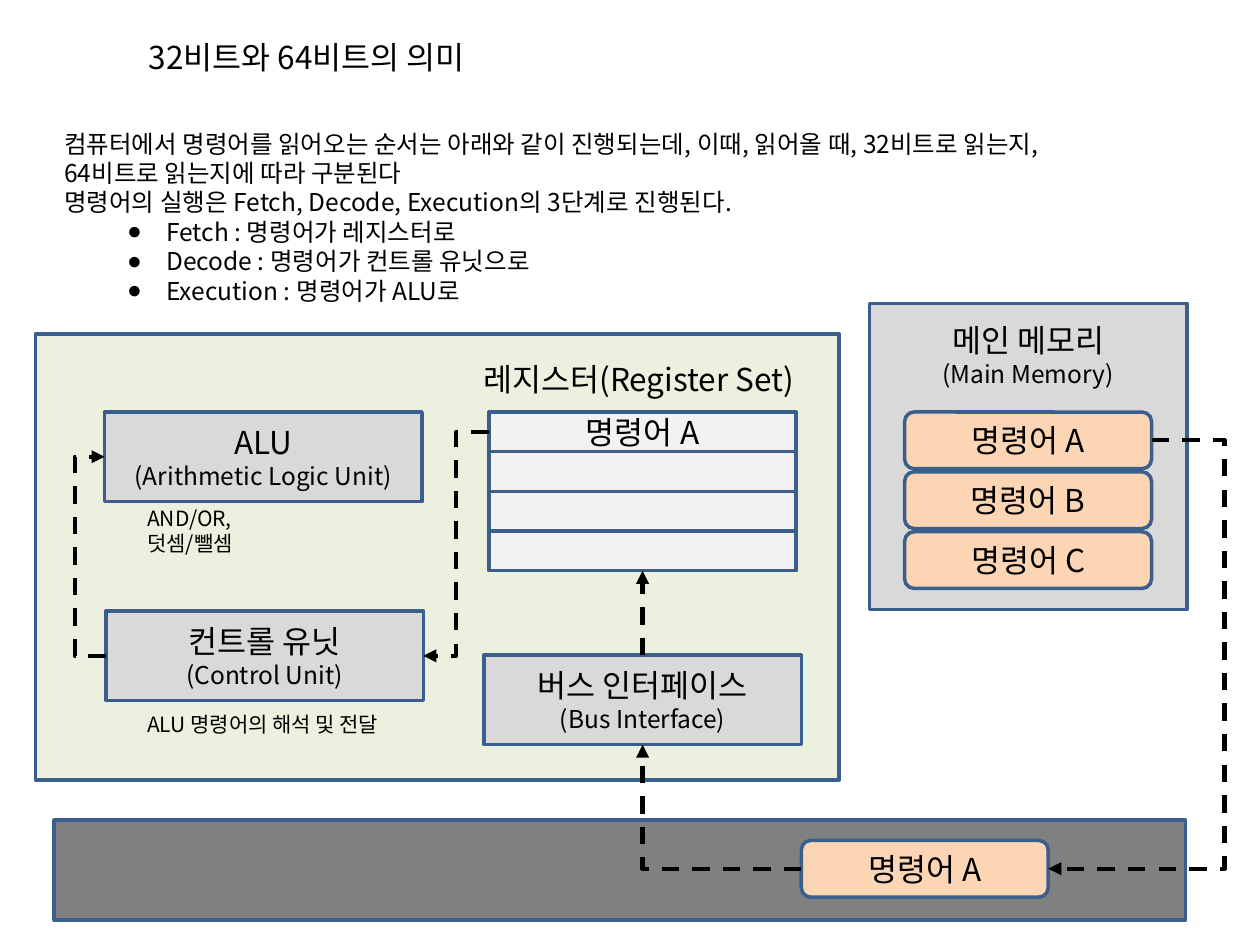
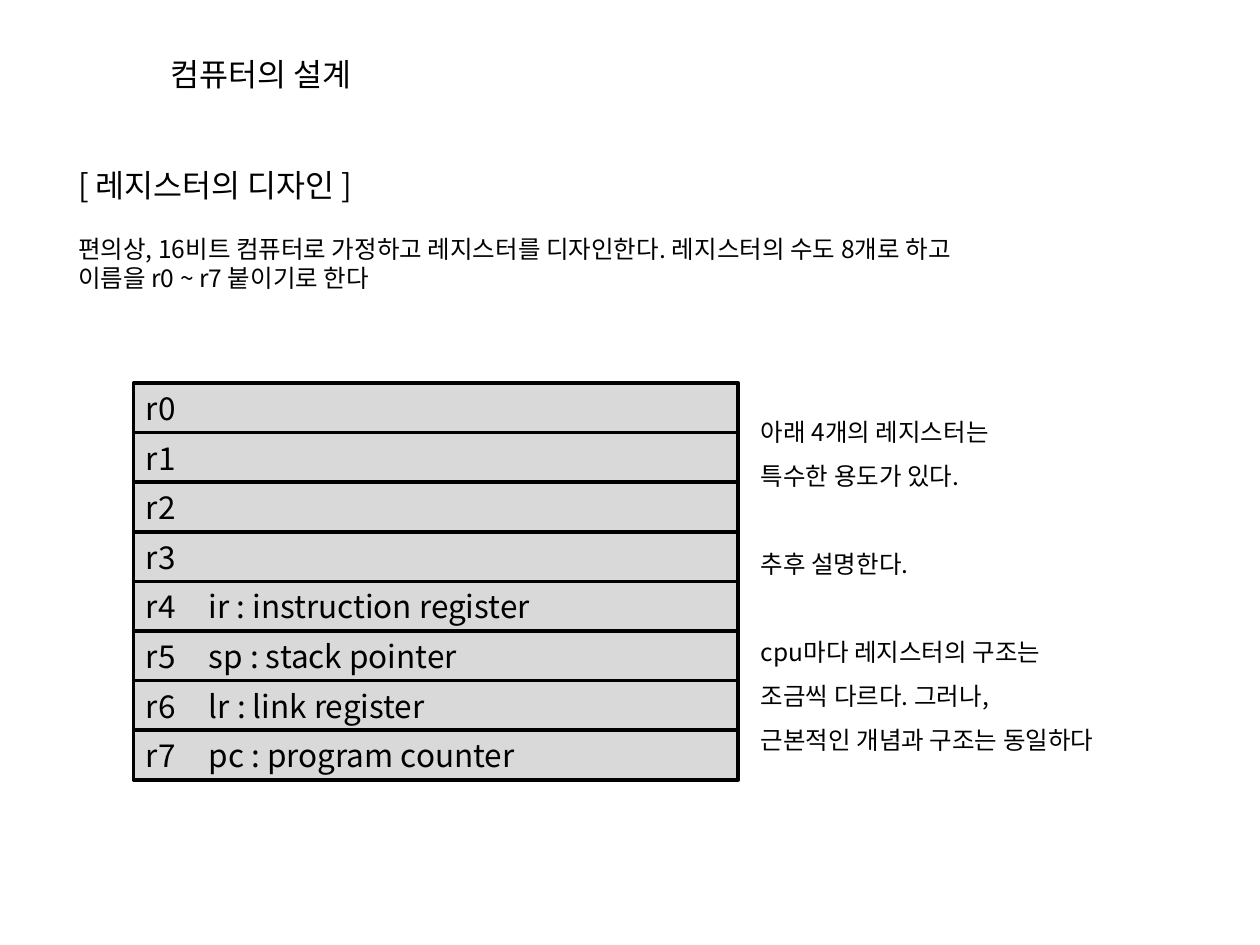
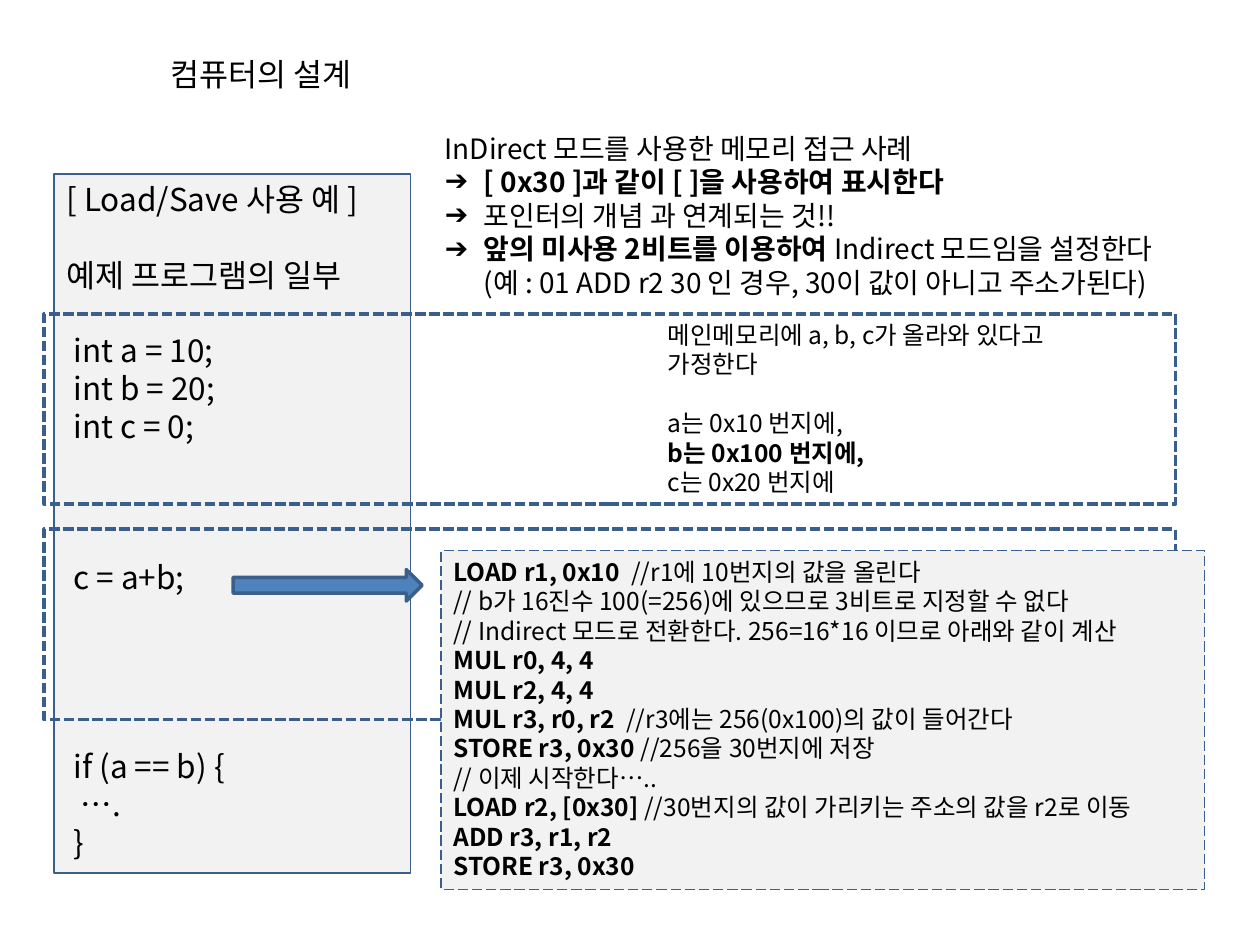
from dataclasses import dataclass

from lxml import etree
from pptx import Presentation
from pptx import util as u
from pptx.dml.color import RGBColor
from pptx.enum import dml, shapes, text
from pptx.oxml.ns import qn

FONT = "Noto Sans CJK KR"
BLACK = RGBColor(0x00, 0x00, 0x00)
BLUE = RGBColor(0x4F, 0x81, 0xBD)
EDGE = RGBColor(0x3A, 0x5F, 0x8C)
GREEN = RGBColor(0xEB, 0xF1, 0xDE)
GREY = RGBColor(0xD9, 0xD9, 0xD9)
PALE = RGBColor(0xF2, 0xF2, 0xF2)
DARK = RGBColor(0x80, 0x80, 0x80)
PEACH = RGBColor(0xFC, 0xD5, 0xB5)

CELL = u.Inches(0.1)  # the slide is a grid of 100 columns and 75 rows
COLUMNS, ROWS = 100, 75
LINE_RATIO = 1.2  # line height relative to text size

RECT = shapes.MSO_SHAPE.RECTANGLE
ROUND = shapes.MSO_SHAPE.ROUNDED_RECTANGLE
ARROW = shapes.MSO_SHAPE.RIGHT_ARROW
TOP, MIDDLE = text.MSO_ANCHOR.TOP, text.MSO_ANCHOR.MIDDLE
LEFT, CENTER = text.PP_ALIGN.LEFT, text.PP_ALIGN.CENTER
SITE_TOP, SITE_LEFT, SITE_BOTTOM, SITE_RIGHT = range(4)


@dataclass
class Box:
    """An area measured in grid columns and rows."""
    left: float
    top: float
    width: float
    height: float

    def inside(self, column, row, width, height):
        return Box(self.left + column, self.top + row, width, height)

    def rows(self, count, gap=0):
        step = self.height / count
        return [self.inside(0, step * i, self.width, step - gap) for i in range(count)]

    def emu(self):
        edges = (self.left, self.top, self.width, self.height)
        return [round(edge * CELL) for edge in edges]


@dataclass
class Line:
    """One paragraph; **marks** enclose bold words, gap counts skipped lines."""
    words: str
    size: float = None
    gap: int = 0
    margin: float = 0
    bullet: str = None
    hanging: float = 0
    tab: float = None


def apply(target, formats):
    for name, value in formats.items():
        setattr(target, name, value)


def set_bullet_and_tab(para, line):
    props = para._p.get_or_add_pPr()
    props.set("marL", str(round(line.margin * CELL)))
    props.set("indent", str(round(-line.hanging * CELL)))
    if line.bullet:
        etree.SubElement(props, qn("a:buChar"), char=line.bullet)
    else:
        etree.SubElement(props, qn("a:buNone"))
    if line.tab:
        tabs = etree.SubElement(props, qn("a:tabLst"))
        etree.SubElement(tabs, qn("a:tab"), pos=str(round(line.tab * CELL)), algn="l")


def write(frame, lines, size=18, align=LEFT, anchor=TOP, spacing=1.0, **margins):
    apply(frame, {"word_wrap": True, "auto_size": text.MSO_AUTO_SIZE.NONE,
                  "vertical_anchor": anchor, **margins})
    for number, line in enumerate(lines):
        line = line if isinstance(line, Line) else Line(line)
        para = frame.add_paragraph() if number else frame.paragraphs[0]
        set_bullet_and_tab(para, line)
        skipped = u.Pt(line.gap * size * LINE_RATIO * spacing)
        apply(para, {"alignment": align, "line_spacing": spacing, "space_before": skipped})
        for part, words in enumerate(line.words.split("**")):
            if not words:
                continue
            span = para.add_run()
            span.text = words
            apply(span.font, {"name": FONT, "size": u.Pt(line.size or size),
                              "bold": part % 2 == 1})
            span.font.color.rgb = BLACK
            etree.SubElement(span._r.get_or_add_rPr(), qn("a:ea"), typeface=FONT)


def add_block(page, box, fill=None, lines=(), kind=RECT, edge=EDGE, weight=2,
              dash=None, **layout):
    block = page.shapes.add_shape(kind, *box.emu())
    block.shadow.inherit = False
    if fill is None:
        block.fill.background()
    else:
        block.fill.solid()
        block.fill.fore_color.rgb = fill
    block.line.color.rgb = edge
    apply(block.line, {"width": u.Pt(weight), "dash_style": dash})
    write(block.text_frame, lines, **{"anchor": MIDDLE, **layout})
    return block


def add_text(page, box, lines, **layout):
    write(page.shapes.add_textbox(*box.emu()).text_frame, lines, **layout)


def fill_placeholder(holder, box, lines, **layout):
    apply(holder, dict(zip(("left", "top", "width", "height"), box.emu())))
    write(holder.text_frame, lines, **layout)


def add_page(deck, title, title_box, body_lines, body_box, **layout):
    page = deck.slides.add_slide(deck.slide_layouts[1])
    fill_placeholder(page.shapes.title, title_box, [title])
    fill_placeholder(page.placeholders[1], body_box, body_lines, **layout)
    return page


def add_flow(page, source, source_site, target, target_site, bend=None, corner=False):
    """Dashed arrow; bend is the grid column of its upright part."""
    elbow = corner or bend is not None
    kind = shapes.MSO_CONNECTOR.ELBOW if elbow else shapes.MSO_CONNECTOR.STRAIGHT
    flow = page.shapes.add_connector(kind, 0, 0, 0, 0)
    flow.begin_connect(source, source_site)
    flow.end_connect(target, target_site)
    props = flow._element.spPr
    geometry = props.find(qn("a:prstGeom"))
    if corner:
        geometry.set("prst", "bentConnector2")
    elif elbow:
        share = (bend * CELL - flow.begin_x) / (flow.end_x - flow.begin_x)
        guides = geometry.find(qn("a:avLst"))
        if guides is None:
            guides = etree.SubElement(geometry, qn("a:avLst"))
        etree.SubElement(guides, qn("a:gd"), name="adj1", fmla=f"val {round(share * 100000)}")
    frame = props.find(qn("a:xfrm"))
    if elbow and frame.get("flipH") and frame.get("flipV"):
        del frame.attrib["flipH"], frame.attrib["flipV"]
        frame.set("rot", str(180 * 60000))
    flow.line.color.rgb = BLACK
    apply(flow.line, {"width": u.Pt(2.5), "dash_style": dml.MSO_LINE.DASH})
    etree.SubElement(props.find(qn("a:ln")), qn("a:tailEnd"), type="triangle")
    etree.SubElement(props, qn("a:effectLst"))


def add_unit(page, box, name, english, **layout):
    lines = [name, Line(f"({english})", size=14)]
    return add_block(page, box, GREY, lines, align=CENTER, **layout)


def add_instruction(page, box, letter):
    return add_block(page, box, PEACH, [f"명령어 {letter}"], ROUND, align=CENTER)


def draw_processor(page, box):
    """Draws the processor and returns its bus interface."""
    add_block(page, box, GREEN)
    alu = add_unit(page, box.inside(5.5, 6.2, 25.2, 7.1), "ALU", "Arithmetic Logic Unit")
    control = add_unit(page, box.inside(5.6, 22, 25.2, 7.1), "컨트롤 유닛", "Control Unit")
    bus = add_unit(page, box.inside(35.6, 25.5, 25.2, 7.1), "버스 인터페이스", "Bus Interface")
    add_text(page, box.inside(34.6, 1.6, 27.3, 4), ["레지스터(Register Set)"])
    add_text(page, box.inside(7.9, 13.1, 17, 5), ["AND/OR,", "덧셈/뺄셈"], size=12)
    add_text(page, box.inside(7.9, 29.5, 22.6, 3), ["ALU 명령어의 해석 및 전달"], size=12)
    contents = (["명령어 A"], [], [], [])
    cells = box.inside(36, 6.2, 24.4, 12.6).rows(len(contents))
    registers = [add_block(page, cell, PALE, lines, align=CENTER)
                 for cell, lines in zip(cells, contents)]
    add_flow(page, bus, SITE_TOP, registers[-1], SITE_BOTTOM)
    add_flow(page, registers[0], SITE_LEFT, control, SITE_RIGHT, bend=box.left + 33.4)
    add_flow(page, control, SITE_LEFT, alu, SITE_LEFT, bend=box.left + 3.1)
    return bus


def draw_memory(page, box):
    """Draws the main memory and returns its first instruction."""
    add_unit(page, box, "메인 메모리", "Main Memory", anchor=TOP, margin_top=u.Inches(0.14))
    cells = box.inside(2.8, 8.6, 19.6, 14.25).rows(3, gap=0.25)
    return [add_instruction(page, cell, letter) for cell, letter in zip(cells, "ABC")][0]


def draw_system_bus(page, box):
    """Draws the bus and returns the instruction travelling on it."""
    add_block(page, box, DARK)
    return add_instruction(page, box.inside(59.3, 1.6, 19.6, 4.5), "A")


def build_bit_width(deck):
    steps = ["Fetch : 명령어가 레지스터로", "Decode : 명령어가 컨트롤 유닛으로",
             "Execution : 명령어가 ALU로"]
    intro = [
        "컴퓨터에서 명령어를 읽어오는 순서는 아래와 같이 진행되는데, 이때, 읽어올 때, 32비트로 읽는지,",
        "64비트로 읽는지에 따라 구분된다",
        "명령어의 실행은 Fetch, Decode, Execution의 3단계로 진행된다.",
        *[Line(step, margin=8.1, bullet="●", hanging=3.1) for step in steps]]
    page = add_page(deck, "32비트와 64비트의 의미", Box(10.8, 2.5, 29.5, 4),
                    intro, Box(4.1, 9.7, 88.1, 17.5), size=14)
    bus = draw_processor(page, Box(2.8, 26.5, 63.8, 35.4))
    stored = draw_memory(page, Box(69, 24.1, 25.2, 24.3))
    moving = draw_system_bus(page, Box(4.3, 65.1, 89.8, 7.9))
    add_flow(page, stored, SITE_RIGHT, moving, SITE_RIGHT, bend=97.2)
    add_flow(page, moving, SITE_LEFT, bus, SITE_BOTTOM, corner=True)


def draw_register_file(page, box):
    roles = ["", "", "", "", "ir : instruction register", "sp : stack pointer",
             "lr : link register", "pc : program counter"]
    for number, (cell, role) in enumerate(zip(box.rows(len(roles)), roles)):
        label = f"r{number}\t{role}" if role else f"r{number}"
        add_block(page, cell, GREY, [Line(label, tab=5.7)], edge=BLACK)


def build_registers(deck, title, title_box):
    intro = [Line("[ 레지스터의 디자인 ]", size=18),
             Line("편의상, 16비트 컴퓨터로 가정하고 레지스터를 디자인한다. 레지스터의 수도 8개로 하고", gap=1),
             "이름을 r0 ~ r7 붙이기로 한다"]
    page = add_page(deck, title, title_box, intro, Box(5.2, 12.7, 79.1, 11.1), size=14)
    draw_register_file(page, Box(10.6, 30.4, 48, 31.5))
    remarks = ["아래 4개의 레지스터는", "특수한 용도가 있다.", Line("추후 설명한다.", gap=1),
               Line("cpu마다 레지스터의 구조는", gap=1), "조금씩 다르다. 그러나,",
               "근본적인 개념과 구조는 동일하다"]
    add_text(page, Box(59.4, 31.4, 31.6, 34), remarks, size=14, spacing=1.5)


def draw_program(page, box):
    lines = ["[ Load/Save 사용 예 ]", Line("예제 프로그램의 일부", gap=1),
             Line(" int a = 10;", gap=1), " int b = 20;", " int c = 0;",
             Line(" c = a+b;", gap=3), Line(" if (a == b) {", gap=4), "  ….", " }"]
    add_block(page, box, PALE, lines, weight=0.75, anchor=TOP)


def draw_assembly(page, box):
    lines = [
        "**LOAD r1, 0x10  **//r1에 10번지의 값을 올린다",
        "// b가 16진수 100(=256)에 있으므로 3비트로 지정할 수 없다",
        "// Indirect 모드로 전환한다. 256=16*16 이므로 아래와 같이 계산",
        "**MUL r0, 4, 4**",
        "**MUL r2, 4, 4**",
        "**MUL r3, r0, r2  **//r3에는 256(0x100)의 값이 들어간다",
        "**STORE r3, 0x30 **//256을 30번지에 저장",
        "// 이제 시작한다…..",
        "**LOAD r2, [0x30] **//30번지의 값이 가리키는 주소의 값을 r2로 이동",
        "**ADD r3, r1, r2**",
        "**STORE r3, 0x30**"]
    add_block(page, box, PALE, lines, weight=0.75, dash=dml.MSO_LINE.LONG_DASH,
              size=14, anchor=TOP)


def build_indirect_mode(deck, title, title_box):
    points = ["**[ 0x30 ]과 같이 [ ]을 사용하여 표시한다**", "포인터의 개념 과 연계되는 것!!",
              "**앞의 미사용 2비트를 이용하여 **Indirect 모드임을 설정한다"]
    summary = ["InDirect 모드를 사용한 메모리 접근 사례",
               *[Line(point, margin=3.1, bullet="➔", hanging=3.1) for point in points],
               Line("(예 : 01 ADD r2 30 인 경우, 30이 값이 아니고 주소가된다)", margin=3.1)]
    page = add_page(deck, title, title_box, summary, Box(34.3, 9.9, 63.7, 14.5), size=16)
    draw_program(page, Box(4.3, 13.8, 28.3, 55.5))
    addresses = ["메인메모리에 a, b, c가 올라와 있다고", "가정한다",
                 Line("a는 0x10 번지에,", gap=1), "**b는 0x100 번지에,**", "c는 0x20 번지에"]
    add_text(page, Box(51.6, 24.9, 35.6, 15.1), addresses, size=14,
             margin_left=u.Inches(0.14))
    for frame in Box(3.5, 24.9, 89.8, 34.2).rows(2, gap=2):
        add_block(page, frame, dash=dml.MSO_LINE.SQUARE_DOT)
    draw_assembly(page, Box(35, 43.7, 60.6, 26.9))
    add_block(page, Box(18.5, 45.2, 15, 2.5), BLUE, kind=ARROW)


def main():
    deck = Presentation()
    apply(deck, {"slide_width": COLUMNS * CELL, "slide_height": ROWS * CELL})
    build_bit_width(deck)
    design = ("컴퓨터의 설계", Box(12.5, 3.9, 18.1, 4))
    build_registers(deck, *design)
    build_indirect_mode(deck, *design)
    deck.save("out.pptx")


if __name__ == "__main__":
    main()
